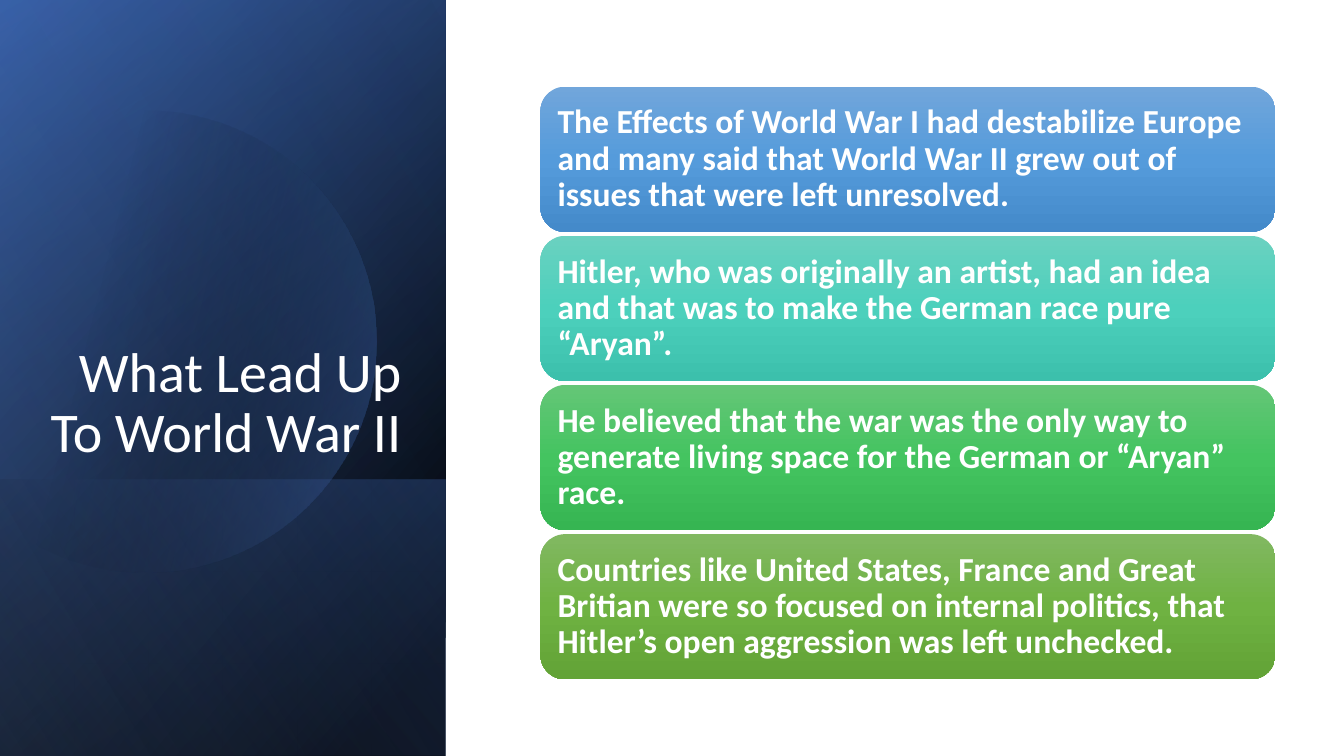
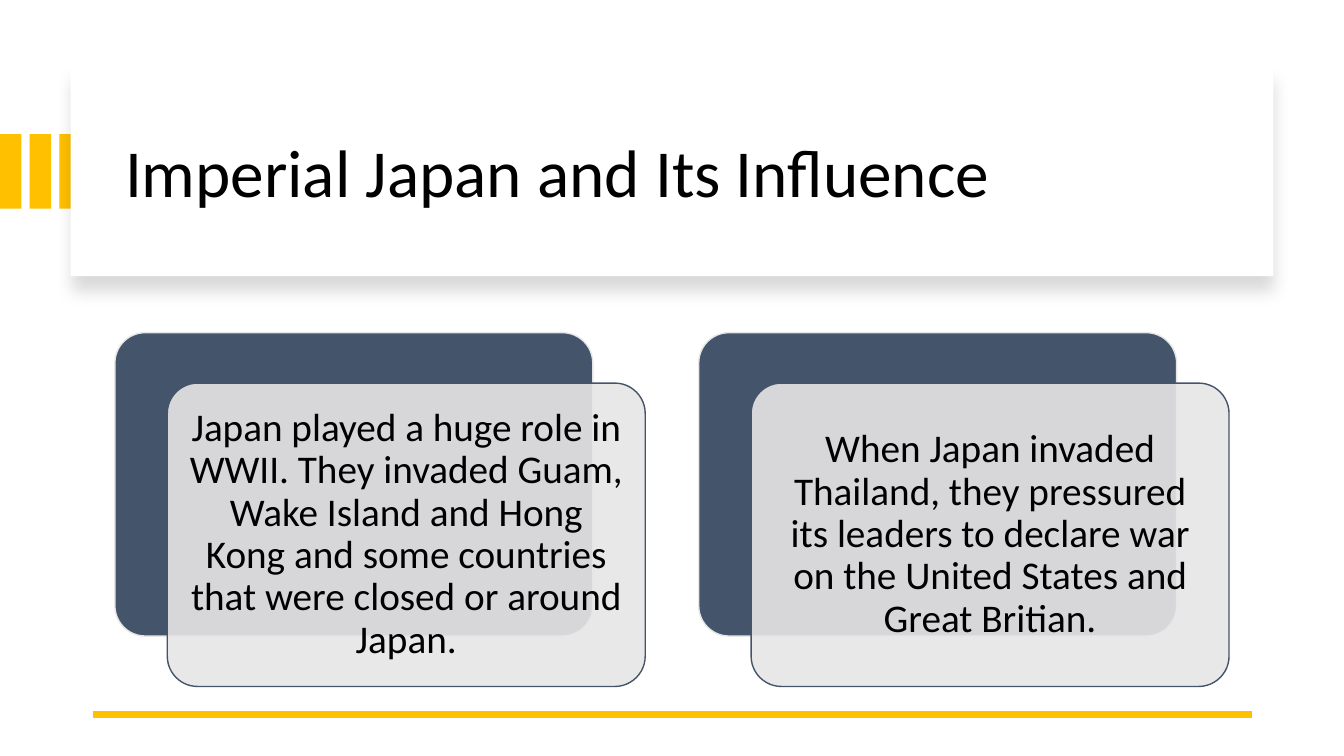
"""Build two slides on the causes of World War II and on Imperial Japan."""
import math

from lxml import etree
from pptx import Presentation, util as u
from pptx.dml.color import RGBColor
from pptx.enum import shapes, text
from pptx.oxml import ns

WIDTH, HEIGHT = u.Inches(13.33), u.Inches(7.5)
FONT = "Calibri"
COLORS = {
    "white": "FFFFFF", "black": "000000", "gold": "FFC000",
    "slate": "44546A", "mist": "E7E6E6",
    "navy": "2F5597", "blue": "4472C4", "sky": "8FAADC",
}
PANEL = (0, 0, 33.16, 100)
PANEL_FOOT = (0, 63.47, 33.16, 36.53)
CAUSES = [
    ("The Effects of World War I had destabilize Europe and many said that "
     "World War II grew out of issues that were left unresolved.",
     ("71A6DB", "559BDB", "448ACA")),
    ("Hitler, who was originally an artist, had an idea and that was to make "
     "the German race pure “Aryan”.",
     ("6AD1C0", "4CD0BC", "3CC0AC")),
    ("He believed that the war was the only way to generate living space for "
     "the German or “Aryan” race.",
     ("64C677", "44C460", "36B552")),
    ("Countries like United States, France and Great Britian were so focused "
     "on internal politics, that Hitler’s open aggression was left unchecked.",
     ("81B861", "6FB242", "62A336")),
]
INVASIONS = [
    "Japan played a huge role in WWII. They invaded Guam, Wake Island and "
    "Hong Kong and some countries that were closed or around Japan.",
    "When Japan invaded Thailand, they pressured its leaders to declare war "
    "on the United States and Great Britian.",
]


def rgb(name):
    """Turn a colour name into an RGB colour."""
    return RGBColor.from_string(COLORS[name])


def col(share):
    """Give a percentage of the slide's width as a length."""
    return u.Emu(round(WIDTH * share / 100))


def row(share):
    """Give a percentage of the slide's height as a length."""
    return u.Emu(round(HEIGHT * share / 100))


def place(area):
    """Turn left, top, width and height percentages into lengths."""
    left, top, width, height = area
    return col(left), row(top), col(width), row(height)


def sub(parent, tag, **attributes):
    """Append a drawing element with the given attributes."""
    child = etree.SubElement(parent, ns.qn(tag))
    for key, value in attributes.items():
        child.set(key, str(value))
    return child


def set_alpha(color_element, percent):
    """Make a colour element partly transparent."""
    sub(color_element, "a:alpha", val=percent * 1000)


def paint_gradient(shape, stops, angle):
    """Fill a shape with (position, hex, opacity) stops along a clockwise angle."""
    shape.fill.gradient()
    gradient = shape.element.spPr.find(ns.qn("a:gradFill"))
    for child in list(gradient):
        gradient.remove(child)
    gradient.set("rotWithShape", "1")
    stop_list = sub(gradient, "a:gsLst")
    for position, color, opacity in stops:
        stop = sub(stop_list, "a:gs", pos=position * 1000)
        set_alpha(sub(stop, "a:srgbClr", val=color), opacity)
    sub(gradient, "a:lin", ang=angle * 60000, scaled=0)


def add_block(slide, area, fill=None, outline=None, rounding=None):
    """Add a rectangle, rounded when a rounding is given."""
    kind = shapes.MSO_SHAPE.RECTANGLE
    if rounding:
        kind = shapes.MSO_SHAPE.ROUNDED_RECTANGLE
    block = slide.shapes.add_shape(kind, *place(area))
    block.shadow.inherit = False
    if rounding:
        block.adjustments[0] = rounding
    if fill:
        block.fill.solid()
        block.fill.fore_color.rgb = rgb(fill)
    if outline:
        block.line.color.rgb = rgb(outline)
        block.line.width = u.Pt(1)
    else:
        block.line.fill.background()
    return block


def add_glow(slide, area, stops, angle):
    """Add a gradient layer, mirrored and turned by a quarter."""
    glow = add_block(slide, area)
    left, top, width, height = place(area)
    glow.left, glow.top = left + (width - height) // 2, top + (height - width) // 2
    glow.width, glow.height = height, width
    glow.rotation = 90
    glow.element.spPr.find(ns.qn("a:xfrm")).set("flipH", "1")
    paint_gradient(glow, stops, angle)


def add_disc(slide, center, radius, stops, angle):
    """Add a disc that is cut off at the slide's left edge."""
    x, y, r = col(center[0]), row(center[1]), row(radius)
    reach = math.acos(-x / r)
    steps = 90
    arc = [reach * (2 * i / steps - 1) for i in range(steps + 1)]
    points = [(x + r * math.cos(a), y + r * math.sin(a)) for a in arc]
    outline = slide.shapes.build_freeform(*points[0])
    outline.add_line_segments(points[1:])
    disc = outline.convert_to_shape()
    disc.shadow.inherit = False
    disc.line.fill.background()
    paint_gradient(disc, stops, angle)


def write(frame, words, size, color, align, anchor, inset=None):
    """Set one styled paragraph in a text frame."""
    frame.word_wrap = True
    frame.auto_size = text.MSO_AUTO_SIZE.NONE
    frame.vertical_anchor = anchor
    if inset:
        frame.margin_left = frame.margin_right = u.Inches(inset)
        frame.margin_top = frame.margin_bottom = u.Inches(inset)
    paragraph = frame.paragraphs[0]
    paragraph.text = words
    paragraph.alignment = align
    paragraph.line_spacing = 0.9
    paragraph.font.name = FONT
    paragraph.font.size = u.Pt(size)
    paragraph.font.color.rgb = rgb(color)
    return paragraph


def add_title(slide, area, words, size, color, align, anchor):
    """Place the title placeholder above what is drawn so far."""
    title = slide.shapes.title
    title.left, title.top, title.width, title.height = place(area)
    title.element.getparent().append(title.element)
    write(title.text_frame, words, size, color, align, anchor)


def add_rule(slide, left, right, top, color, weight):
    """Add a horizontal line."""
    rule = slide.shapes.add_connector(
        shapes.MSO_CONNECTOR.STRAIGHT, col(left), row(top), col(right), row(top))
    rule.line.color.rgb = rgb(color)
    rule.line.width = u.Pt(weight)
    sub(rule.element.spPr, "a:effectLst")


def add_cause(slide, area, words, shades):
    """Add a gradient card with bold text."""
    card = add_block(slide, area, rounding=0.17)
    paint_gradient(card, [(i * 50, shade, 100) for i, shade in enumerate(shades)], 90)
    paragraph = write(card.text_frame, words, 24, "white", text.PP_ALIGN.LEFT,
                      text.MSO_ANCHOR.MIDDLE, 0.1)
    paragraph.font.bold = True


def add_layered_card(slide, area, words):
    """Add a dark card with a pale text card shifted over it."""
    left, top, width, height = area
    add_block(slide, area, "slate", "mist", 0.1)
    front = add_block(slide, (left + 3.9, top + 6.67, width, height),
                      "mist", "slate", 0.1)
    set_alpha(front.element.spPr.find(ns.qn("a:solidFill"))[0], 90)
    write(front.text_frame, words, 28, "black", text.PP_ALIGN.CENTER,
          text.MSO_ANCHOR.MIDDLE, 0.12)


def add_banner(slide, area):
    """Add a white banner with a soft shadow below it."""
    banner = add_block(slide, area, "white")
    effects = banner.element.spPr.find(ns.qn("a:effectLst"))
    shadow = sub(effects, "a:outerShdw", blurRad=u.Pt(11), dist=u.Pt(10),
                 dir=90 * 60000, algn="t", rotWithShape=0)
    set_alpha(sub(shadow, "a:srgbClr", val=COLORS["black"]), 15)


def build_causes(slide):
    """Build the slide on what led to the war."""
    black, blue = COLORS["black"], COLORS["blue"]
    add_glow(slide, PANEL, [(8, black, 100), (100, COLORS["navy"], 100)], 50)
    add_glow(slide, PANEL, [(0, black, 0), (99, blue, 46)], 30)
    add_glow(slide, PANEL_FOOT, [(2, blue, 29), (100, black, 30)], 130)
    add_disc(slide, (10.8, 45.13), 30.53, [(29, black, 0), (100, blue, 43)], 14)
    add_glow(slide, PANEL, [(0, black, 0), (99, COLORS["sky"], 11)], 120)
    add_title(slide, (2.55, 27.2, 28.06, 34.93), "What Lead Up To World War II",
              40, "white", text.PP_ALIGN.RIGHT, text.MSO_ANCHOR.BOTTOM)
    for i, (words, shades) in enumerate(CAUSES):
        add_cause(slide, (40.21, 11.47 + i * 19.73, 54.69, 19.2), words, shades)


def build_japan(slide):
    """Build the slide on Imperial Japan."""
    for i in range(3):
        add_block(slide, (i * 2.21, 17.73, 1.6, 9.87), "gold")
    add_banner(slide, (5.25, 8.93, 89.5, 27.6))
    add_title(slide, (8.55, 11.87, 83.5, 22.67), "Imperial Japan and Its Influence",
              48, "black", text.PP_ALIGN.LEFT, text.MSO_ANCHOR.MIDDLE)
    add_rule(slide, 6.9, 93.17, 94.53, "gold", 4.5)
    for i, words in enumerate(INVASIONS):
        add_layered_card(slide, (8.55 + i * 43.44, 44, 35.56, 40.13), words)


def main():
    """Create the deck and save it."""
    deck = Presentation()
    deck.slide_width, deck.slide_height = WIDTH, HEIGHT
    title_only = deck.slide_layouts[5]
    for build in (build_causes, build_japan):
        build(deck.slides.add_slide(title_only))
    deck.save("out.pptx")


if __name__ == "__main__":
    main()
